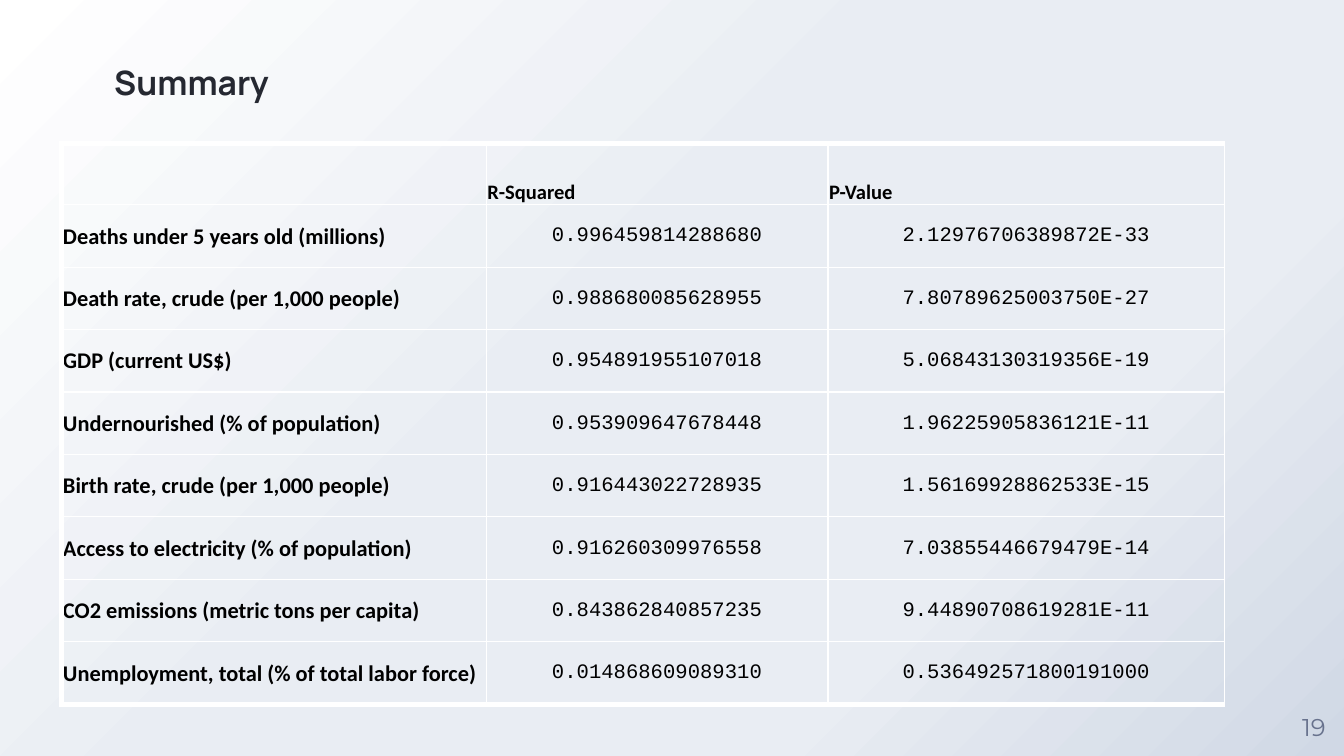
from lxml.etree import SubElement
from pptx import Presentation
from pptx.dml.color import RGBColor
from pptx.enum.text import MSO_ANCHOR, PP_ALIGN
from pptx.oxml import parse_xml
from pptx.oxml.ns import nsdecls, qn
from pptx.util import Cm, Pt

WHITE = "FFFFFF"
BLACK = "000000"
BACKGROUND_STOPS = [(0, WHITE), (44, "E9EDF3"), (72, "E9EDF3"), (100, "D0D8E5")]
HEADERS = ["", "R-Squared", "P-Value"]
INDICATORS = [
    ("Deaths under 5 years old (millions)", "0.996459814288680", "2.12976706389872E-33"),
    ("Death rate, crude (per 1,000 people)", "0.988680085628955", "7.80789625003750E-27"),
    ("GDP (current US$)", "0.954891955107018", "5.06843130319356E-19"),
    ("Undernourished (% of population)", "0.953909647678448", "1.96225905836121E-11"),
    ("Birth rate, crude (per 1,000 people)", "0.916443022728935", "1.56169928862533E-15"),
    ("Access to electricity (% of population)", "0.916260309976558", "7.03855446679479E-14"),
    ("CO2 emissions (metric tons per capita)", "0.843862840857235", "9.44890708619281E-11"),
    ("Unemployment, total (% of total labor force)", "0.014868609089310", "0.536492571800191000"),
]
COLUMN_SHARES = [0.365, 0.294, 0.341]
HEADER_HEIGHT = 1.15
THIN, THICK = 0.75, 3


def color(value):
    return RGBColor.from_string(value)


def add_run(paragraph, text, font, size, fill, bold=False):
    run = paragraph.add_run()
    run.text = text
    run.font.name = font
    run.font.size = Pt(size)
    run.font.bold = bold
    run.font.color.rgb = color(fill)


def paint_background(slide):
    stops = "".join(
        f'<a:gs pos="{position * 1000}"><a:srgbClr val="{value}"/></a:gs>'
        for position, value in BACKGROUND_STOPS
    )
    background = parse_xml(
        f'<p:bg {nsdecls("p", "a")}><p:bgPr><a:gradFill rotWithShape="1">'
        f'<a:gsLst>{stops}</a:gsLst><a:path path="circle">'
        '<a:fillToRect l="0" t="0" r="100000" b="100000"/></a:path>'
        '</a:gradFill><a:effectLst/></p:bgPr></p:bg>'
    )
    slide.element.cSld.insert(0, background)


def add_frame(slide, box):
    frame = slide.shapes.add_textbox(*(Cm(length) for length in box)).text_frame
    frame.word_wrap = True
    frame.margin_left = frame.margin_right = frame.margin_top = frame.margin_bottom = 0
    return frame


def add_title(slide, box):
    title = add_frame(slide, box)
    title.vertical_anchor = MSO_ANCHOR.TOP
    title.margin_top = Cm(0.06)
    add_run(title.paragraphs[0], "Summary", "Manrope", 18, "252831", True)


def add_page_number(slide, box):
    number = add_frame(slide, box)
    number.vertical_anchor = MSO_ANCHOR.MIDDLE
    number.paragraphs[0].alignment = PP_ALIGN.CENTER
    add_run(number.paragraphs[0], "19", "Montserrat", 13, "68728D")


def set_borders(cell, left, right, top, bottom):
    properties = cell._tc.get_or_add_tcPr()
    for side, width in zip("LRTB", (left, right, top, bottom)):
        line = SubElement(properties, qn(f"a:ln{side}"), w=str(Pt(width)))
        SubElement(SubElement(line, qn("a:solidFill")), qn("a:srgbClr"), val=WHITE)


def fill_cell(cell, text, is_header, is_label):
    cell.margin_left = cell.margin_right = cell.margin_top = Cm(0.02)
    cell.margin_bottom = 0
    cell.vertical_anchor = MSO_ANCHOR.BOTTOM if is_header else MSO_ANCHOR.MIDDLE
    paragraph = cell.text_frame.paragraphs[0]
    if is_header:
        if text:
            add_run(paragraph, text, "Calibri", 11, BLACK, True)
    elif is_label:
        add_run(paragraph, text, "Calibri", 12, BLACK, True)
    else:
        paragraph.alignment = PP_ALIGN.CENTER
        add_run(paragraph, text, "Courier New", 11, BLACK)


def add_statistics(slide, box):
    width, height = box[2:]
    rows = [HEADERS, *INDICATORS]
    table = slide.shapes.add_table(
        len(rows), len(HEADERS), *(Cm(length) for length in box)
    ).table
    table.first_row = table.horz_banding = False
    for column, share in zip(table.columns, COLUMN_SHARES):
        column.width = Cm(width * share)
    last = len(rows) - 1
    for r, values in enumerate(rows):
        table.rows[r].height = Cm((height - HEADER_HEIGHT) / last if r else HEADER_HEIGHT)
        for c, value in enumerate(values):
            cell = table.cell(r, c)
            fill_cell(cell, value, r == 0, c == 0)
            set_borders(
                cell,
                THIN if c else THICK,
                THIN,
                THIN if r else THICK,
                THICK if r == last else THIN,
            )
            cell.fill.background()


def main():
    presentation = Presentation()
    presentation.slide_width = Cm(25.4)
    presentation.slide_height = Cm(14.29)
    slide = presentation.slides.add_slide(presentation.slide_layouts[6])
    paint_background(slide)
    add_title(slide, (2.16, 1.12, 9.96, 2.39))
    add_statistics(slide, (1.17, 2.72, 21.97, 10.59))
    add_page_number(slide, (24.26, 13.16, 1.14, 1.14))
    presentation.save("out.pptx")


if __name__ == "__main__":
    main()
